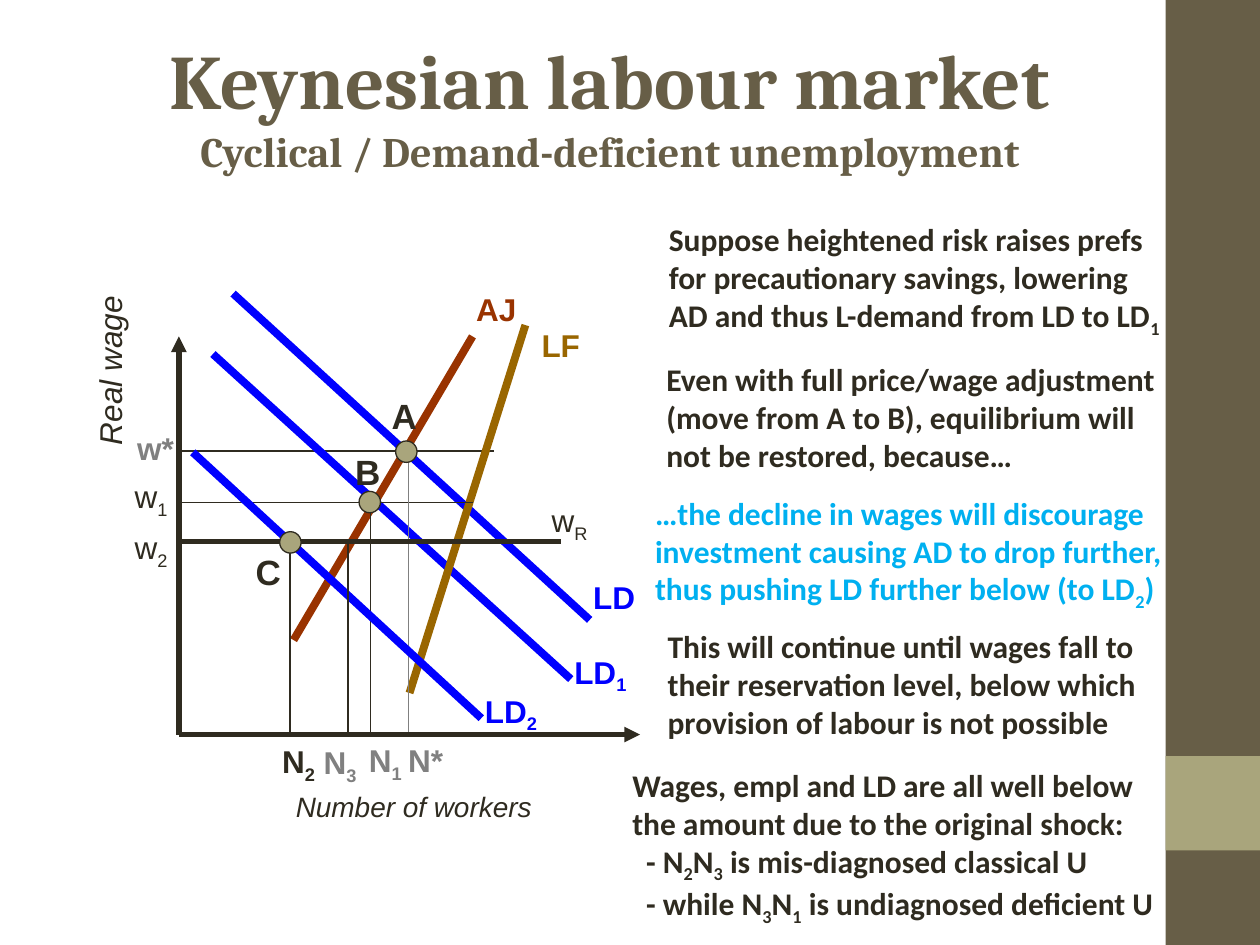
from lxml import etree
from pptx import Presentation
from pptx.dml.color import RGBColor
from pptx.enum.shapes import MSO_CONNECTOR, MSO_SHAPE
from pptx.enum.text import MSO_AUTO_SIZE, PP_ALIGN
from pptx.oxml.ns import qn
from pptx.util import Inches, Pt

STRAIGHT = MSO_CONNECTOR.STRAIGHT
RECT, OVAL = MSO_SHAPE.RECTANGLE, MSO_SHAPE.OVAL
CENTER = PP_ALIGN.CENTER
GROW = MSO_AUTO_SIZE.SHAPE_TO_FIT_TEXT

COLORS = {
    "ink": "2F2B20", "brown": "675E47", "sage": "A9A57C", "blue": "0000FF",
    "gold": "996600", "rust": "993300", "gray": "808080", "sky": "00B0F0",
}

ORIGIN = (1.42, 5.83)
# start, end, colour, width in points
LINES = [
    ((1.85, 2.33), (4.68, 4.92), "blue", 4.5),
    ((1.42, 3.58), (3.92, 3.58), "ink", 0.75),
    ((1.69, 2.81), (4.53, 5.39), "blue", 4.5),
    ((3.25, 5.5), (4.17, 2.58), "gold", 4.5),
    ((2.33, 5.08), (3.75, 2.67), "rust", 4.5),
    ((1.42, 3.99), (3.75, 3.99), "ink", 0.75),
    ((3.24, 3.59), (3.24, 5.83), "gray", 0.75),
    ((2.94, 3.91), (2.94, 5.83), "ink", 0.75),
    ((1.53, 3.59), (3.82, 5.7), "blue", 4.5),
    ((1.4, 4.3), (4.45, 4.3), "ink", 3),
    ((2.3, 4.32), (2.3, 5.82), "ink", 1),
    ((2.76, 4.32), (2.76, 5.82), "ink", 1),
]

# text, left, top, width, colour, size, bold; "_" lowers the next character
LABELS = [
    ("w*", 0.99, 3.36, 0.49, "gray", 18, True),
    ("w_1", 0.97, 3.74, 0.57, "ink", 18, False),
    ("w_2", 0.97, 4.14, 0.57, "ink", 18, False),
    ("w_R", 4.28, 3.93, 0.57, "ink", 18, False),
    ("LD", 4.61, 4.54, 0.53, "blue", 18, True),
    ("LD_1", 4.46, 5.13, 0.64, "blue", 18, True),
    ("LD_2", 3.75, 5.44, 0.64, "blue", 18, True),
    ("LF", 4.2, 2.54, 0.53, "gold", 18, True),
    ("AJ", 3.68, 2.25, 0.52, "rust", 18, True),
    ("N_2", 2.14, 5.84, 0.46, "ink", 18, True),
    ("N_3", 2.47, 5.85, 0.46, "gray", 18, True),
    ("N_1", 2.83, 5.83, 0.46, "gray", 18, True),
    ("N*", 3.14, 5.83, 0.48, "gray", 18, True),
    ("A", 3.01, 3.08, 0.4, "ink", 20, True),
    ("B", 2.72, 3.53, 0.4, "ink", 20, True),
    ("C", 1.93, 4.32, 0.4, "ink", 20, True),
]

DOTS = [(3.14, 3.5), (2.85, 3.9), (2.22, 4.22)]

# place, colour, lines
NOTES = [
    ((5.21, 1.7, 4.11, 1.04), "ink", [
        "Suppose heightened risk raises prefs",
        "for precautionary savings, lowering",
        "AD and thus L-demand from LD to LD_1"]),
    ((5.19, 2.81, 4.1, 1), "ink", [
        "Even with full price/wage adjustment",
        "(move from A to B), equilibrium will",
        "not be restored, because…"]),
    ((5.1, 3.87, 4.31, 1.04), "sky", [
        "…the decline in wages will discourage",
        "investment causing AD to drop further,",
        "thus pushing LD further below (to LD_2)"]),
    ((5.2, 4.93, 3.98, 1), "ink", [
        "This will continue until wages fall to",
        "their reservation level, below which",
        "provision of labour is not possible"]),
]
SUMMARY = [
    "Wages, empl and LD are all well below",
    "the amount due to the original shock:",
    "- N_2N_3 is mis-diagnosed classical U",
    "- while N_3N_1 is undiagnosed deficient U",
]


def rgb(name):
    return RGBColor.from_string(COLORS[name])


def add_block(slide, kind, place, fill, edge=None):
    shape = slide.shapes.add_shape(kind, *map(Inches, place))
    shape.shadow.inherit = False
    shape.fill.solid()
    shape.fill.fore_color.rgb = rgb(fill)
    if edge:
        shape.line.color.rgb = rgb(edge)
        shape.line.width = Pt(0.75)
    else:
        shape.line.fill.background()


def add_line(slide, start, end, color, width, arrow=False):
    line = slide.shapes.add_connector(STRAIGHT, *map(Inches, start + end))
    line.line.color.rgb = rgb(color)
    line.line.width = Pt(width)
    if arrow:
        etree.SubElement(line.line._get_or_add_ln(), qn("a:tailEnd"), type="triangle")
    etree.SubElement(line._element.spPr, qn("a:effectLst"))


def add_run(para, text, low=False):
    run = para.add_run()
    run.text = text
    if low:
        run.font._element.set("baseline", "-25000")


def add_text(slide, place, lines, color, sizes=(18,), font="Arial",
             bold=False, italic=False, wrap=False, align=None, grow=True):
    """Add a text box; the last of sizes serves all further lines."""
    box = slide.shapes.add_textbox(*map(Inches, place))
    frame = box.text_frame
    frame.word_wrap = wrap
    if grow:
        frame.auto_size = GROW
    for i, text in enumerate(lines):
        para = frame.add_paragraph() if i else frame.paragraphs[0]
        para.alignment = align
        if text.startswith("- "):
            para._p.get_or_add_pPr().set("marL", str(Inches(0.11)))
        head, *parts = text.split("_")
        add_run(para, head)
        for part in parts:
            add_run(para, part[0], low=True)
            if part[1:]:
                add_run(para, part[1:])
        for run in para.runs:
            run.font.name = font
            run.font.size = Pt(sizes[min(i, len(sizes) - 1)])
            run.font.bold = bold
            run.font.italic = italic
            run.font.color.rgb = rgb(color)
    return box


def add_graph(slide):
    for line in LINES:
        add_line(slide, *line)
    for tip in ((5.08, ORIGIN[1]), (ORIGIN[0], 2.67)):
        add_line(slide, ORIGIN, tip, "ink", 3, arrow=True)
    for text, left, top, width, color, size, bold in LABELS:
        high = 0.44 if "_" in text or size == 20 else 0.4
        add_text(slide, (left, top, width, high), [text], color, (size,),
                 bold=bold, wrap=text.startswith("w_"))
    for left, top in DOTS:
        add_block(slide, OVAL, (left, top, 0.17, 0.17), "sage", "ink")
    add_text(slide, (2.25, 6.22, 2.07, 0.37), ["Number of workers"], "ink",
             (16,), italic=True)
    wage = add_text(slide, (0.18, 2.74, 1.38, 0.4), ["Real wage"], "ink", italic=True)
    wage.rotation = 270


def main():
    deck = Presentation()
    deck.slide_width, deck.slide_height = Inches(10), Inches(7.5)
    slide = deck.slides.add_slide(deck.slide_layouts[6])
    add_block(slide, RECT, (9.25, 0, 0.75, 7.5), "brown")
    add_block(slide, RECT, (9.25, 6, 0.75, 0.75), "sage")
    add_text(slide, (0.59, 0.21, 8.5, 1.21),
             ["Keynesian labour market", "Cyclical / Demand-deficient unemployment"],
             "brown", (44, 24), "Cambria", bold=True, wrap=True, align=CENTER, grow=False)
    add_graph(slide)
    for place, color, lines in NOTES:
        add_text(slide, place, lines, color, font="Calibri", bold=True)
    add_text(slide, (4.92, 6.03, 5, 1.38), SUMMARY, "ink", font="Calibri",
             bold=True, wrap=True)
    deck.save("out.pptx")


if __name__ == "__main__":
    main()
